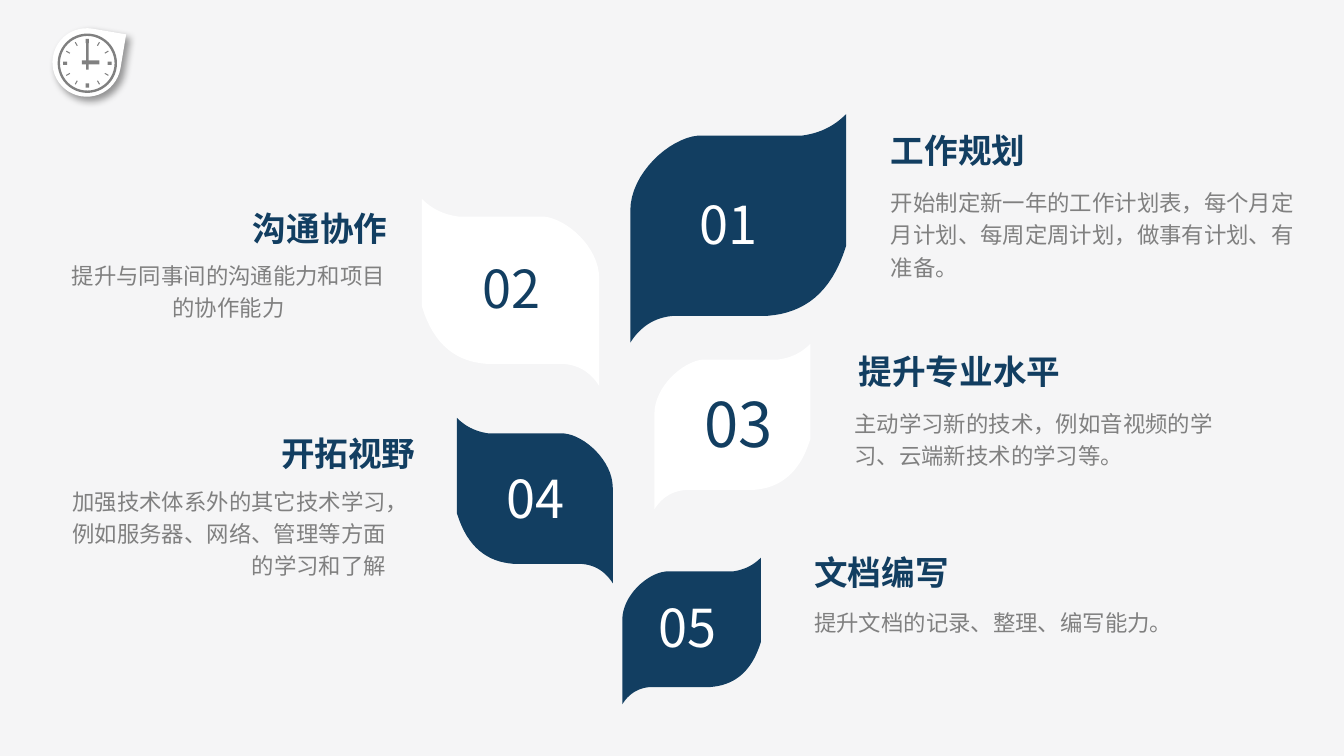
"""Build a slide with five numbered plan leaves and a clock badge."""
import math

import pptx
import pptx.dml.color
import pptx.enum.shapes
import pptx.enum.text
import pptx.oxml
import pptx.oxml.ns
import pptx.util

Pt = pptx.util.Pt
SHAPE = pptx.enum.shapes.MSO_SHAPE
ALIGN = pptx.enum.text.PP_ALIGN

THEME = {
    "font": "Noto Sans CJK SC", "bg": "F5F5F6", "navy": "123E61",
    "white": "FFFFFF", "gray": "808080", "title": 18, "body": 12, "number": 28,
    "big_number": 33,
}
PLANS = [
    {"number": "01", "leaf": (337.7, 61.2, 115.6, 122.4), "fill": "navy",
     "ink": "white", "number_at": (367.9, 99.4, 47.5, 41), "size": "number",
     "title": "工作规划", "title_at": (470.2, 66.2, 118, 29),
     "body": "开始制定新一年的工作计划表，每个月定月计划、每周定周计划，做事有计划、有准备。",
     "body_at": (470.2, 95, 233.3, 59.8), "align": ALIGN.LEFT},
    {"number": "02", "leaf": (226.1, 106.6, 94.9, 100.1), "fill": "white",
     "ink": "navy", "number_at": (251.3, 133.9, 47.5, 41), "size": "number",
     "title": "沟通协作", "title_at": (96.5, 108, 118, 29),
     "body": "提升与同事间的沟通能力和项目的协作能力",
     "body_at": (31, 133.9, 182.9, 41.8), "align": ALIGN.CENTER},
    {"number": "03", "leaf": (350.6, 184.3, 83.5, 88.6), "fill": "white",
     "ink": "navy", "number_at": (370.1, 203, 54, 47.5), "size": "big_number",
     "title": "提升专业水平", "title_at": (452.9, 184.3, 154, 29),
     "body": "主动学习新的技术，例如音视频的学习、云端新技术的学习等。",
     "body_at": (450.7, 213.1, 216, 41.8), "align": ALIGN.LEFT},
    {"number": "04", "leaf": (244.8, 223.9, 83.5, 88.6), "fill": "navy",
     "ink": "white", "number_at": (264.2, 246.2, 47.5, 41), "size": "number",
     "title": "开拓视野", "title_at": (111.6, 228.2, 118, 29),
     "body": "加强技术体系外的其它技术学习，例如服务器、网络、管理等方面的学习和了解",
     "body_at": (31, 254.9, 182.9, 59.8), "align": ALIGN.RIGHT},
    {"number": "05", "leaf": (333.4, 298.8, 74.2, 78.5), "fill": "navy",
     "ink": "white", "number_at": (345.6, 315.4, 47.5, 41), "size": "number",
     "title": "文档编写", "title_at": (429.1, 292.3, 118, 29),
     "body": "提升文档的记录、整理、编写能力。",
     "body_at": (429.1, 319.7, 216, 24.5), "align": ALIGN.LEFT},
]
LEAF_SIZE = (160, 170)
LEAF_CURVES = [
    ((160, 0), (152, 8), (142, 14), (127, 16)),
    ((50, 16), (29, 18), (0, 44), (0, 72)),
    ((0, 170), (7, 159), (17, 151), (33, 150)),
    ((102, 150), (128, 148), (149, 134), (160, 98)),
]
CURVE_STEPS = 16
CLOCK_CENTER = (46.8, 33.9)
CLOCK_HANDS = [(46.1, 23, 1.4, 14.4), (43.9, 32.4, 9.4, 2.1)]
TICK_RADIUS, TICK_LENGTH = 11.9, 2.2
SHADOW = (
    '<a:effectLst xmlns:a="http://schemas.openxmlformats.org/drawingml/2006/main">'
    '<a:outerShdw blurRad="50800" dist="38100" dir="2700000" algn="tl" rotWithShape="0">'
    '<a:srgbClr val="000000"><a:alpha val="40000"/></a:srgbClr>'
    '</a:outerShdw></a:effectLst>'
)


def color(name):
    return pptx.dml.color.RGBColor.from_string(THEME[name])


def paint(sp, fill):
    sp.shadow.inherit = False
    sp.fill.solid()
    sp.fill.fore_color.rgb = color(fill)
    sp.line.fill.background()
    return sp


def add_shape(s, kind, box, fill, rotation=0):
    sp = paint(s.shapes.add_shape(kind, *map(Pt, box)), fill)
    sp.rotation = rotation
    return sp


def add_text(s, text, box, size, ink, align=ALIGN.LEFT, bold=False, wrap=True, spacing=None):
    tf = s.shapes.add_textbox(*map(Pt, box)).text_frame
    tf.word_wrap = wrap
    tf.auto_size = pptx.enum.text.MSO_AUTO_SIZE.SHAPE_TO_FIT_TEXT
    p = tf.paragraphs[0]
    p.alignment = align
    p.line_spacing = spacing
    r = p.add_run()
    r.text = text
    font = {"name": THEME["font"], "size": Pt(THEME[size]), "bold": bold}
    for key, value in font.items():
        setattr(r.font, key, value)
    r.font.color.rgb = color(ink)
    ea = r.font._element.makeelement(pptx.oxml.ns.qn("a:ea"), {"typeface": THEME["font"]})
    r.font._element.append(ea)


def curve_points(curve):
    for step in range(CURVE_STEPS + 1):
        t = step / CURVE_STEPS
        weights = ((1 - t) ** 3, 3 * t * (1 - t) ** 2, 3 * t * t * (1 - t), t ** 3)
        yield tuple(sum(w * pt[axis] for w, pt in zip(weights, curve)) for axis in (0, 1))


def add_leaf(s, box, fill, mirrored):
    left, top, width, height = box
    points = []
    for x, y in (pt for curve in LEAF_CURVES for pt in curve_points(curve)):
        across = x / LEAF_SIZE[0]
        across = 1 - across if mirrored else across
        points.append((Pt(left + width * across), Pt(top + height * y / LEAF_SIZE[1])))
    builder = s.shapes.build_freeform(*points[0])
    builder.add_line_segments(points[1:], close=True)
    paint(builder.convert_to_shape(), fill)


def add_clock(s):
    cx, cy = CLOCK_CENTER
    badge = add_shape(s, SHAPE.TEAR, (28.1, 15.1, 36.7, 36.7), "white", 9.5)
    properties = badge._element.spPr
    properties.remove(properties.find(pptx.oxml.ns.qn("a:effectLst")))
    properties.append(pptx.oxml.parse_xml(SHADOW))
    ring = add_shape(s, SHAPE.DONUT, (cx - 15.9, cy - 15.9, 31.8, 31.8), "gray")
    ring.adjustments[0] = 0.04
    for hour in range(12):
        angle = math.radians(hour * 30)
        width = 0.6 if hour % 3 else 1.8
        x = cx + TICK_RADIUS * math.sin(angle) - width / 2
        y = cy - TICK_RADIUS * math.cos(angle) - TICK_LENGTH / 2
        add_shape(s, SHAPE.RECTANGLE, (x, y, width, TICK_LENGTH), "gray", hour * 30)
    for hand in CLOCK_HANDS:
        add_shape(s, SHAPE.RECTANGLE, hand, "gray")


def main():
    prs = pptx.Presentation()
    prs.slide_width, prs.slide_height = Pt(720), Pt(405)
    s = prs.slides.add_slide(prs.slide_layouts[6])
    s.background.fill.solid()
    s.background.fill.fore_color.rgb = color("bg")
    add_clock(s)
    for plan in PLANS:
        on_left = plan["align"] != ALIGN.LEFT
        add_leaf(s, plan["leaf"], plan["fill"], on_left)
        add_text(s, plan["number"], plan["number_at"], plan["size"], plan["ink"], wrap=False)
        add_text(s, plan["title"], plan["title_at"], "title", "navy",
                 ALIGN.RIGHT if on_left else ALIGN.LEFT, bold=True)
        add_text(s, plan["body"], plan["body_at"], "body", "gray", plan["align"], spacing=1.2)
    prs.save("out.pptx")


if __name__ == "__main__":
    main()
